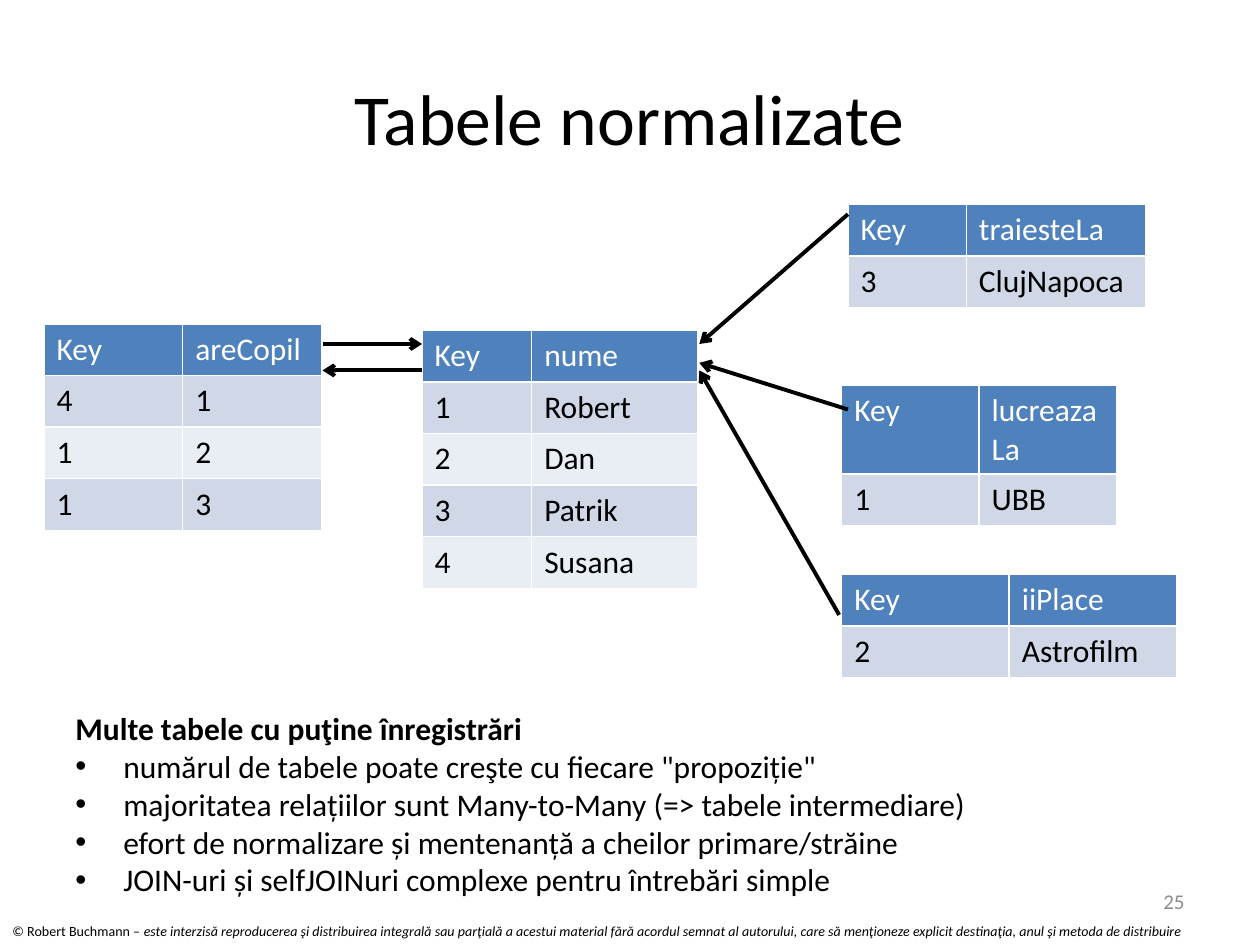
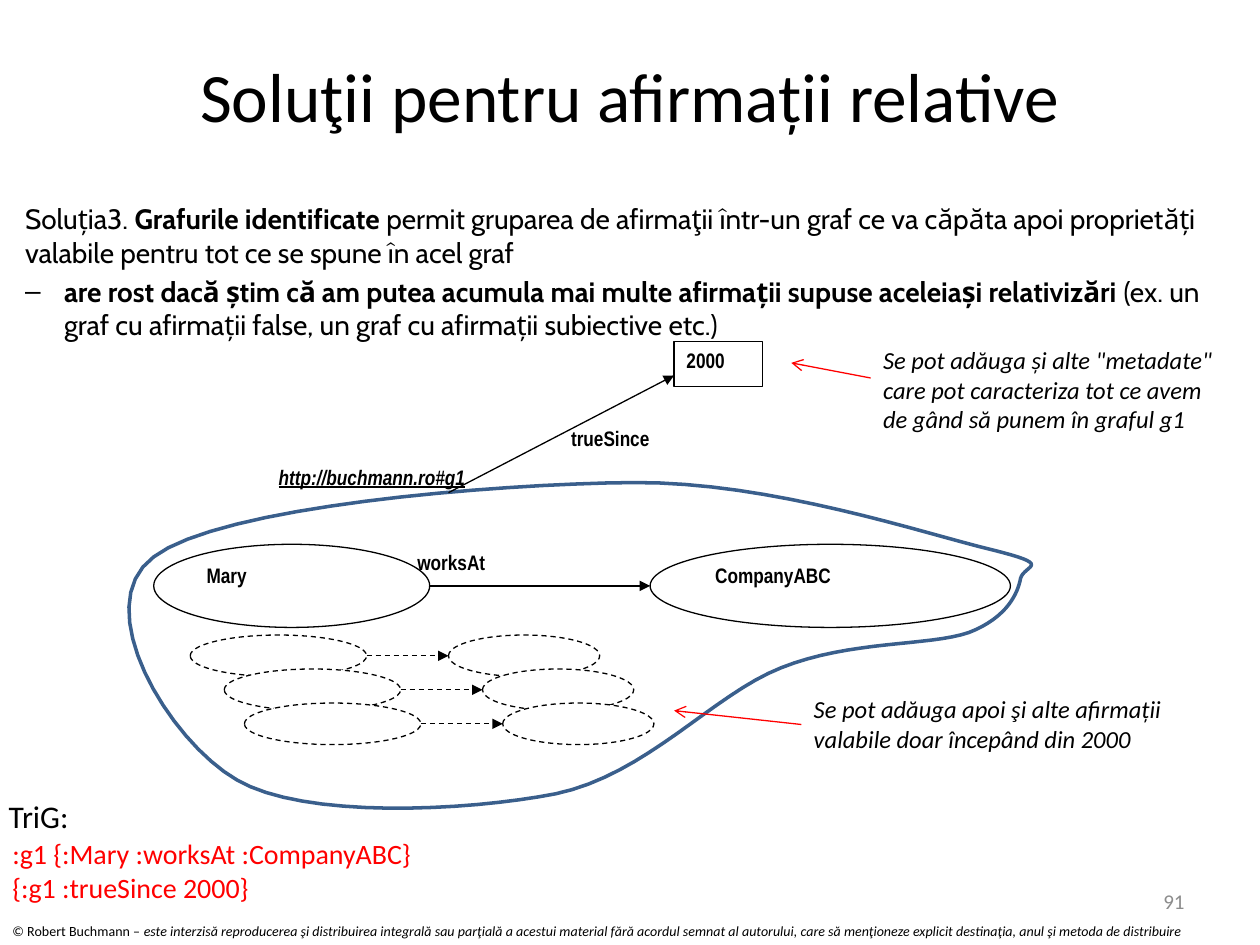
from dataclasses import dataclass, replace

from lxml import etree
from pptx import Presentation
from pptx.dml.color import RGBColor
from pptx.enum.dml import MSO_LINE
from pptx.enum.shapes import MSO_CONNECTOR, MSO_SHAPE
from pptx.enum.text import MSO_ANCHOR, PP_ALIGN
from pptx.oxml.ns import qn
from pptx.util import Pt

PX = 9144  # EMU per px, 100 px to the inch
BLACK = RGBColor(0x00, 0x00, 0x00)
WHITE = RGBColor(0xFF, 0xFF, 0xFF)
GRAY = RGBColor(0x8C, 0x8C, 0x8C)
RED = RGBColor(0xFF, 0x00, 0x00)
OUTLINE_BLUE = RGBColor(0x3A, 0x5F, 0x8C)
HEADER_BLUE = RGBColor(0x4F, 0x81, 0xBD)
BAND_FILLS = (RGBColor(0xD0, 0xD8, 0xE8), RGBColor(0xE9, 0xED, 0xF4))

ELLIPSE, RECTANGLE = MSO_SHAPE.OVAL, MSO_SHAPE.RECTANGLE
STRAIGHT, DASH = MSO_CONNECTOR.STRAIGHT, MSO_LINE.DASH
TOP, MIDDLE = MSO_ANCHOR.TOP, MSO_ANCHOR.MIDDLE
LEFT, CENTER, RIGHT = PP_ALIGN.LEFT, PP_ALIGN.CENTER, PP_ALIGN.RIGHT


@dataclass(frozen=True)
class TextStyle:
    size: float
    color: RGBColor = BLACK
    font: str = "Calibri"
    bold: bool = False
    italic: bool = False
    underline: bool = False


FOOTER = TextStyle(8)
SLIDE_NUMBER = TextStyle(12, GRAY)
LIST = TextStyle(18)
SOLUTION = TextStyle(16, font="Cabin")
NODE = TextStyle(12, font="Arial Narrow", bold=True)
NOTE = TextStyle(14, italic=True)
CODE = TextStyle(16, RED)


def px(*lengths):
    return [round(length * PX) for length in lengths]


# Text helpers
def add_run(paragraph, text, style):
    run = paragraph.add_run()
    run.text = text
    font = run.font
    font.size, font.name = Pt(style.size), style.font
    font.bold, font.italic, font.underline = style.bold, style.italic, style.underline
    font.color.rgb = style.color


def set_indent(paragraph, margin, hanging=0, bullet=None):
    properties = paragraph._p.get_or_add_pPr()
    properties.set("marL", str(margin * PX))
    properties.set("indent", str(-hanging * PX))
    if bullet:
        etree.SubElement(properties, qn("a:buFont")).set("typeface", "Arial")
        etree.SubElement(properties, qn("a:buChar")).set("char", bullet)


def add_text(slide, box, paragraphs, align=LEFT, anchor=TOP, wrap=True):
    """Each paragraph is a list of (text, style) runs."""
    frame = slide.shapes.add_textbox(*px(*box)).text_frame
    frame.word_wrap, frame.vertical_anchor = wrap, anchor
    for index, runs in enumerate(paragraphs):
        paragraph = frame.add_paragraph() if index else frame.paragraphs[0]
        paragraph.alignment = align
        for text, style in runs:
            add_run(paragraph, text, style)
    return frame


# Drawing helpers
def style_line(line, color, width, dash=None):
    line.color.rgb, line.width = color, Pt(width)
    if dash:
        line.dash_style = dash


def add_arrow(slide, start, end, color=BLACK, width=0.75, head="triangle", dash=None):
    arrow = slide.shapes.add_connector(STRAIGHT, *px(*start, *end))
    style_line(arrow.line, color, width, dash)
    etree.SubElement(arrow.line._get_or_add_ln(), qn("a:tailEnd")).set("type", head)
    etree.SubElement(arrow._element.spPr, qn("a:effectLst"))


def add_node(slide, box, label="", style=NODE, kind=ELLIPSE, filled=True,
             outlined=True, dash=None):
    node = slide.shapes.add_shape(kind, *px(*box))
    node.shadow.inherit = False
    if filled:
        node.fill.solid()
        node.fill.fore_color.rgb = WHITE
    else:
        node.fill.background()
    if outlined:
        style_line(node.line, BLACK, 0.75, dash)
    else:
        node.line.fill.background()
    if label:
        node.text_frame.vertical_anchor = TOP
        paragraph = node.text_frame.paragraphs[0]
        paragraph.alignment = LEFT
        add_run(paragraph, label, style)


def sample_curve(start, segments, steps=16):
    """Points along a chain of cubic Bezier segments."""
    points = []
    for first, second, end in segments:
        for step in range(1, steps + 1):
            t = step / steps
            u = 1 - t
            points.append(tuple(
                u**3 * a + 3 * u * u * t * b + 3 * u * t * t * c + t**3 * d
                for a, b, c, d in zip(start, first, second, end)))
        start = end
    return points


# Parts shared by the slides
def add_base_slide(presentation, title, title_box, title_size, number):
    slide = presentation.slides.add_slide(presentation.slide_layouts[6])
    add_text(slide, (0, 727, 1000, 24), [[
        ("© Robert Buchmann – ", FOOTER),
        ("este interzisă reproducerea şi distribuirea integrală sau parţială a acestui "
         "material fără acordul semnat al autorului, care să menţioneze explicit "
         "destinaţia, anul şi metoda de distribuire", replace(FOOTER, italic=True)),
    ]])
    add_text(slide, title_box, [[(title, TextStyle(title_size))]], CENTER, MIDDLE)
    add_text(slide, (717, 695, 233, 40), [[(number, SLIDE_NUMBER)]], RIGHT, MIDDLE)
    return slide


# Slide 1: tables linked by keys
def draw_table(slide, left, top, widths, rows, header_height=41, row_height=41):
    heights = [header_height] + [row_height] * (len(rows) - 1)
    table = slide.shapes.add_table(
        len(rows), len(widths), *px(left, top, sum(widths), sum(heights))).table
    for column, width in zip(table.columns, px(*widths)):
        column.width = width
    for row_index, (values, height) in enumerate(zip(rows, px(*heights))):
        table.rows[row_index].height = height
        fill, color = HEADER_BLUE, WHITE
        if row_index:
            fill, color = BAND_FILLS[(row_index - 1) % 2], BLACK
        for column_index, value in enumerate(values):
            cell = table.cell(row_index, column_index)
            cell.fill.solid()
            cell.fill.fore_color.rgb = fill
            add_run(cell.text_frame.paragraphs[0], value, TextStyle(18, color))


def draw_linked_tables(slide, left, top):
    tables = (
        (300, 100, (87, 132), [("Key", "nume"), ("1", "Robert"), ("2", "Dan"),
                               ("3", "Patrik"), ("4", "Susana")], 41),
        (0, 95, (110, 110), [("Key", "areCopil"), ("4", "1"), ("1", "2"), ("1", "3")], 41),
        (638, 0, (94, 142), [("Key", "traiesteLa"), ("3", "ClujNapoca")], 41),
        (633, 144, (109, 109), [("Key", "lucreazaLa"), ("1", "UBB")], 70),
        (633, 294, (133, 133), [("Key", "iiPlace"), ("2", "Astrofilm")], 41),
    )
    for x, y, widths, rows, header_height in tables:
        draw_table(slide, left + x, top + y, widths, rows, header_height)

    key_links = (
        (221, 111, 300, 111),
        (300, 132, 221, 132),
        (638, 8, 520, 111),
        (638, 163, 520, 126),
        (631, 326, 520, 132),
    )
    for x1, y1, x2, y2 in key_links:
        add_arrow(slide, (left + x1, top + y1), (left + x2, top + y2),
                  width=2.25, head="arrow")


def draw_drawbacks(slide, box):
    heading = "Multe tabele cu puţine înregistrări"
    drawbacks = (
        "numărul de tabele poate creşte cu fiecare \"propoziție\"",
        "majoritatea relațiilor sunt Many-to-Many (=> tabele intermediare)",
        "efort de normalizare și mentenanță a cheilor primare/străine",
        "JOIN-uri și selfJOINuri complexe pentru întrebări simple",
    )
    frame = add_text(slide, box, [[(heading, replace(LIST, bold=True))]]
                     + [[(drawback, LIST)] for drawback in drawbacks])
    for paragraph in frame.paragraphs[1:]:
        set_indent(paragraph, 38, 38, "•")


def build_tables_slide(presentation):
    slide = add_base_slide(presentation, "Tabele normalizate", (50, 30, 900, 125), 41, "25")
    draw_linked_tables(slide, 35, 162)
    draw_drawbacks(slide, (50, 558, 835, 192))


# Slide 2: named graph
def draw_solution(slide, box):
    strong = replace(SOLUTION, bold=True)
    frame = add_text(slide, box, [
        [("Soluția3. ", SOLUTION), ("Grafurile identificate", strong),
         (" permit gruparea de afirmaţii într-un graf ce va căpăta apoi proprietăți "
          "valabile pentru tot ce se spune în acel graf", SOLUTION)],
        [("are rost dacă știm că am putea acumula mai multe afirmații supuse aceleiași "
          "relativizări ", strong),
         ("(ex. un graf cu afirmații false, un graf cu afirmații subiective etc.)", SOLUTION)],
    ])
    statement, reason = frame.paragraphs
    set_indent(statement, 10)
    set_indent(reason, 41, 31, "–")
    reason.space_before = Pt(3.2)


def draw_named_graph(slide, left, top):
    def at(x, y, *size):
        return (left + x, top + y, *size)

    # Main statement and the graph's address
    add_node(slide, at(173, 30, 317, 124), "worksAt", outlined=False)
    add_node(slide, at(20, 49, 219, 66), "Mary")
    add_arrow(slide, at(239, 82), at(414, 82))
    add_node(slide, at(414, 49, 286, 66), "CompanyABC")
    add_node(slide, at(63, -37, 317, 124), "http://buchmann.ro#g1",
             replace(NODE, italic=True, underline=True), filled=False, outlined=False)

    # Graph boundary
    start = (684, 53)
    boundary_points = sample_curve(start, (
        ((633, 41), (510, -1), (400, 0)),
        ((289, 1), (72, 19), (20, 59)),
        ((-33, 98), (32, 205), (86, 236)),
        ((139, 267), (267, 261), (339, 247)),
        ((411, 232), (464, 168), (518, 147)),
        ((573, 125), (635, 130), (667, 119)),
        ((698, 107), (706, 87), (708, 76)),
        ((711, 65), (736, 66), start),
    ))
    builder = slide.shapes.build_freeform(*px(*at(*start)))
    builder.add_line_segments([px(*at(*point)) for point in boundary_points], close=True)
    boundary = builder.convert_to_shape()
    boundary.shadow.inherit = False
    boundary.fill.background()
    style_line(boundary.line, OUTLINE_BLUE, 2)

    # Further statements
    subject_width, gap, object_width, height = 140, 65, 120, 33
    for x, y in ((49, 121), (76, 148), (92, 175)):
        link_x, object_x, middle = x + subject_width, x + subject_width + gap, y + height / 2
        add_node(slide, at(x, y, subject_width, height), dash=DASH)
        add_arrow(slide, at(link_x, middle), at(object_x, middle), dash=DASH)
        add_node(slide, at(object_x, y, object_width, height), dash=DASH)

    # Property of the whole graph
    add_node(slide, at(433, -112, 70, 36), "2000", kind=RECTANGLE)
    add_arrow(slide, at(254, 8), at(433, -85))
    add_node(slide, at(295, -68, 317, 124), "trueSince", filled=False, outlined=False)


def draw_note(slide, box, lines, pointer_y, reach, rise):
    add_text(slide, box, [[(line, NOTE)] for line in lines])
    x, y = box[0], box[1] + pointer_y
    add_arrow(slide, (x, y), (x - reach, y - rise), RED, head="arrow")


def draw_trig_code(slide, left, top):
    add_text(slide, (left, top + 31, 340, 64), [
        [(":g1 {:Mary :worksAt :CompanyABC}", CODE)],
        [("{:g1 :trueSince 2000}", CODE)],
    ], wrap=False)
    add_text(slide, (left - 3, top, 68, 40), [[("TriG:", LIST)]], wrap=False)


def build_graph_slide(presentation):
    slide = add_base_slide(presentation, "Soluţii pentru afirmații relative",
                           (50, 42, 900, 67), 39.6, "91")
    draw_solution(slide, (0, 155, 988, 220))
    draw_named_graph(slide, 102, 383)
    draw_note(slide, (636, 546, 332, 57),
              ["Se pot adăuga apoi şi alte afirmații valabile doar începând din 2000"],
              29, 101, 11)
    draw_note(slide, (691, 269, 289, 81),
              ["Se pot adăuga și alte \"metadate\"",
               "care pot caracteriza tot ce avem de gând să punem în graful g1"],
              31, 63, 12)
    draw_trig_code(slide, 0, 628)


def main():
    presentation = Presentation()
    presentation.slide_width, presentation.slide_height = px(1000, 750)
    build_tables_slide(presentation)
    build_graph_slide(presentation)
    presentation.save("out.pptx")


if __name__ == "__main__":
    main()
